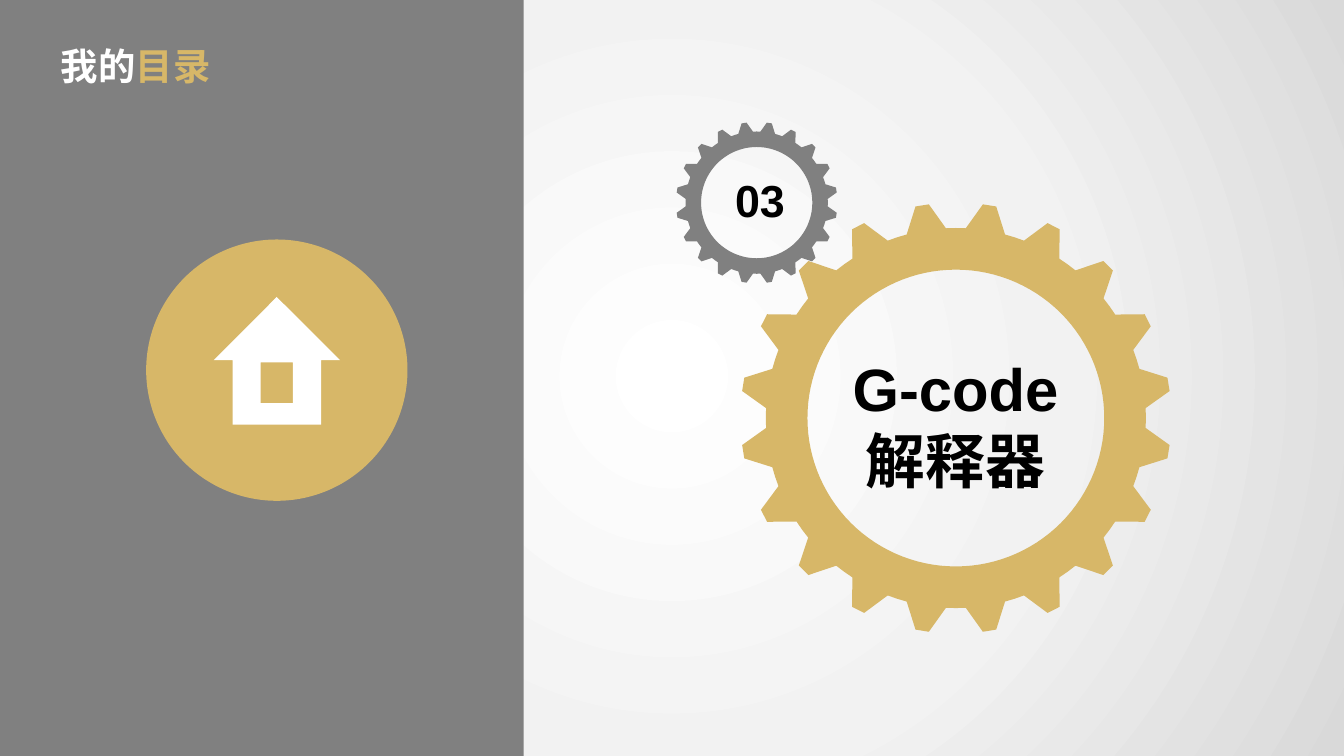
from dataclasses import dataclass
from math import cos, radians, sin

from pptx import Presentation
from pptx.dml.color import RGBColor
from pptx.enum.shapes import MSO_SHAPE
from pptx.enum.text import MSO_AUTO_SIZE, PP_ALIGN
from pptx.oxml import parse_xml
from pptx.oxml.ns import nsdecls, qn
from pptx.shapes.autoshape import Shape
from pptx.slide import Slide
from pptx.util import Pt

RECTANGLE = MSO_SHAPE.RECTANGLE
OVAL = MSO_SHAPE.OVAL
CENTER = PP_ALIGN.CENTER
GROW = MSO_AUTO_SIZE.SHAPE_TO_FIT_TEXT

WHITE = RGBColor(0xFF, 0xFF, 0xFF)
PALE_GRAY = RGBColor(0xF2, 0xF2, 0xF2)
LIGHT_GRAY = RGBColor(0xD9, 0xD9, 0xD9)
GRAY = RGBColor(0x80, 0x80, 0x80)
GOLD = RGBColor(0xD7, 0xB7, 0x68)
BLACK = RGBColor(0, 0, 0)

FONT = "Arial"
TEETH = 20
TIP_HALF_ANGLE = 1.8
ROOT_HALF_ANGLE = 3
HOLE_STEP = 3

Point = tuple[float, float]


@dataclass(frozen=True)
class Box:
    left: float
    top: float
    width: float
    height: float

    def lengths(self) -> tuple[Pt, Pt, Pt, Pt]:
        return Pt(self.left), Pt(self.top), Pt(self.width), Pt(self.height)


@dataclass(frozen=True)
class Gear:
    center: Point
    tip_radius: float
    root_radius: float
    hole_radius: float
    color: RGBColor


@dataclass(frozen=True)
class Run:
    text: str
    color: RGBColor = BLACK


@dataclass(frozen=True)
class Label:
    box: Box
    size: float
    lines: tuple[tuple[Run, ...], ...]
    margins: Point = (7.2, 3.6)
    line_spacing: float = 1.0


GEARS = (
    Gear((405.4, 108.6), 43.2, 38.1, 29.8, GRAY),
    Gear((512.1, 224), 115.4, 101.8, 79.5, GOLD),
)
LABELS = (
    Label(Box(437, 185, 149.8, 85), 32, ((Run("G-code"),), (Run("解释器"),))),
    Label(Box(377.3, 94.3, 59.8, 30.2), 24, ((Run("03"),),), line_spacing=0.8),
    Label(Box(20.9, 18, 103.7, 33.8), 20,
          ((Run("我的", WHITE), Run("目录", GOLD)),), margins=(9.4, 5)),
)
HOUSE = [(148.3, 159.1), (182.2, 193), (172.1, 193), (172.1, 227.5),
         (124.6, 227.5), (124.6, 193), (114.5, 193)]
DOOR = [(139.7, 194.2), (139.7, 216), (157, 216), (157, 194.2)]


def paint(shape: Shape, color: RGBColor) -> None:
    shape.shadow.inherit = False
    shape.fill.solid()
    shape.fill.fore_color.rgb = color
    shape.line.fill.background()


def add_preset(slide: Slide, preset: MSO_SHAPE, box: Box, color: RGBColor) -> Shape:
    shape = slide.shapes.add_shape(preset, *box.lengths())
    paint(shape, color)
    return shape


def add_radial_backdrop(slide: Slide, box: Box) -> None:
    backdrop = add_preset(slide, RECTANGLE, box, WHITE)
    stops = "".join(
        f'<a:gs pos="{percent * 1000}"><a:srgbClr val="{color}"/></a:gs>'
        for percent, color in ((0, WHITE), (51, PALE_GRAY), (100, LIGHT_GRAY))
    )
    gradient = parse_xml(
        f'<a:gradFill {nsdecls("a")} rotWithShape="1"><a:gsLst>{stops}</a:gsLst>'
        '<a:path path="circle"><a:fillToRect l="50000" t="50000" r="50000" b="50000"/>'
        "</a:path></a:gradFill>"
    )
    properties = backdrop.fill._xPr
    properties.replace(properties.find(qn("a:solidFill")), gradient)


def add_pierced_outline(slide: Slide, outer: list[Point], hole: list[Point],
                        color: RGBColor) -> None:
    """Draw a closed outline with a second outline cut out of it."""
    rim, cutout = ([(Pt(x), Pt(y)) for x, y in points] for points in (outer, hole))
    builder = slide.shapes.build_freeform(*rim[0])
    builder.add_line_segments(rim[1:], close=True)
    builder.move_to(*cutout[0])
    builder.add_line_segments(cutout[1:], close=True)
    paint(builder.convert_to_shape(), color)


def polar(center: Point, radius: float, degrees: float) -> Point:
    """Point at an angle measured clockwise from twelve o'clock."""
    angle = radians(degrees)
    return center[0] + radius * sin(angle), center[1] - radius * cos(angle)


def add_gear(slide: Slide, gear: Gear) -> None:
    pitch = 360 / TEETH
    tooth = (
        (gear.root_radius, -ROOT_HALF_ANGLE),
        (gear.root_radius, 0),
        (gear.root_radius, ROOT_HALF_ANGLE),
        (gear.tip_radius, pitch / 2 - TIP_HALF_ANGLE),
        (gear.tip_radius, pitch / 2 + TIP_HALF_ANGLE),
    )
    rim = [polar(gear.center, radius, index * pitch + offset)
           for index in range(TEETH) for radius, offset in tooth]
    hole = [polar(gear.center, gear.hole_radius, -angle)
            for angle in range(0, 360, HOLE_STEP)]
    add_pierced_outline(slide, rim, hole, gear.color)


def add_label(slide: Slide, label: Label) -> None:
    frame = slide.shapes.add_textbox(*label.box.lengths()).text_frame
    frame.word_wrap = True
    frame.auto_size = GROW
    frame.margin_left = frame.margin_right = Pt(label.margins[0])
    frame.margin_top = frame.margin_bottom = Pt(label.margins[1])
    for index, line in enumerate(label.lines):
        paragraph = frame.add_paragraph() if index else frame.paragraphs[0]
        paragraph.alignment = CENTER
        paragraph.line_spacing = label.line_spacing
        for part in line:
            run = paragraph.add_run()
            run.text = part.text
            run.font.name = FONT
            run.font.size = Pt(label.size)
            run.font.bold = True
            run.font.color.rgb = part.color


def main() -> None:
    presentation = Presentation()
    presentation.slide_width, presentation.slide_height = Pt(720), Pt(405)
    slide = presentation.slides.add_slide(presentation.slide_layouts[6])

    add_radial_backdrop(slide, Box(0, -2.2, 720, 407.5))
    add_preset(slide, RECTANGLE, Box(0, 0, 280.6, 407.5), GRAY)
    add_preset(slide, OVAL, Box(78.3, 128.3, 140, 140), GOLD)
    add_pierced_outline(slide, HOUSE, DOOR, WHITE)
    for gear in GEARS:
        add_gear(slide, gear)
    for label in LABELS:
        add_label(slide, label)

    presentation.save("out.pptx")


if __name__ == "__main__":
    main()
